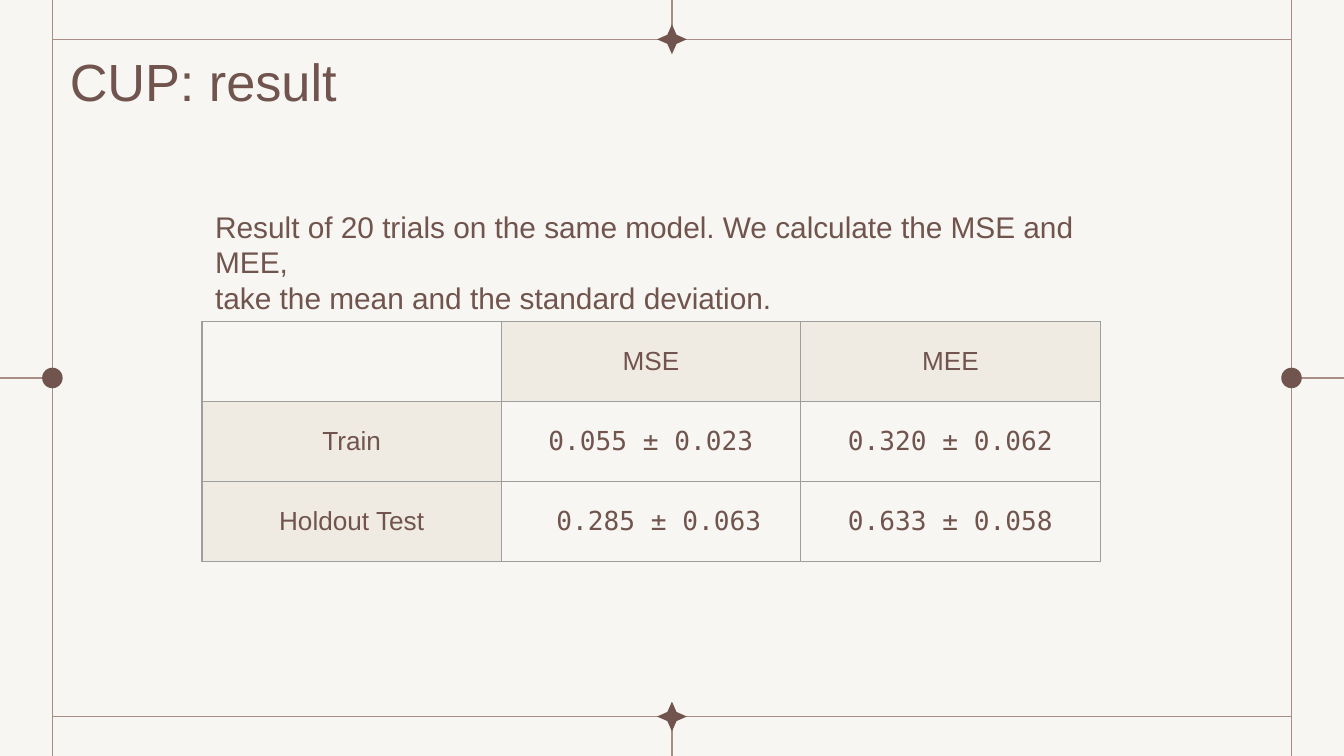
from lxml import etree
from pptx import Presentation
from pptx.dml.color import RGBColor
from pptx.enum.shapes import MSO_CONNECTOR, MSO_SHAPE
from pptx.enum.text import MSO_ANCHOR, PP_ALIGN
from pptx.oxml.ns import qn
from pptx.util import Pt

STRAIGHT = MSO_CONNECTOR.STRAIGHT
STAR, DOT = MSO_SHAPE.STAR_4_POINT, MSO_SHAPE.OVAL
MIDDLE, TOP = MSO_ANCHOR.MIDDLE, MSO_ANCHOR.TOP
LEFT, CENTER = PP_ALIGN.LEFT, PP_ALIGN.CENTER

SANS, MONO = "Arial", "DejaVu Sans Mono"
BROWN, ROSE, GREY = "70544D", "A78D84", "9E9E9E"
PAPER, SAND = "F8F6F2", "EFEAE2"

WIDTH, HEIGHT = 720, 405
MID_X, MID_Y = WIDTH / 2, HEIGHT / 2
FRAME_X, FRAME_Y = 28.1, 21.1
FRAME_RIGHT, FRAME_BOTTOM = WIDTH - FRAME_X, HEIGHT - FRAME_Y

RESULTS = [
    ["", "MSE", "MEE"],
    ["Train", "0.055 ± 0.023", "0.320 ± 0.062"],
    ["Holdout Test", " 0.285 ± 0.063", "0.633 ± 0.058"],
]


def rgb(color):
    return RGBColor.from_string(color)


def write(tf, text, size=14, font=SANS, color=BROWN, align=LEFT):
    """Put each line of text in its own paragraph."""
    for i, line in enumerate(text.split("\n")):
        p = tf.paragraphs[0] if i == 0 else tf.add_paragraph()
        p.alignment = align
        r = p.add_run()
        r.text = line
        r.font.size = Pt(size)
        r.font.name = font
        r.font.color.rgb = rgb(color)


def add_text(s, text, x, y, w, h, inset_y=3.6, anchor=TOP, **fmt):
    tf = s.shapes.add_textbox(Pt(x), Pt(y), Pt(w), Pt(h)).text_frame
    tf.word_wrap = True
    tf.margin_top = tf.margin_bottom = Pt(inset_y)
    tf.vertical_anchor = anchor
    write(tf, text, **fmt)


def add_line(s, x1, y1, x2, y2):
    line = s.shapes.add_connector(STRAIGHT, Pt(x1), Pt(y1), Pt(x2), Pt(y2))
    line.line.color.rgb = rgb(ROSE)
    line.line.width = Pt(0.75)
    etree.SubElement(line._element.spPr, qn("a:effectLst"))


def add_mark(s, kind, x, y, size):
    """Add an ornament centred on a point."""
    sp = s.shapes.add_shape(kind, Pt(x - size / 2), Pt(y - size / 2),
                            Pt(size), Pt(size))
    sp.shadow.inherit = False
    sp.fill.solid()
    sp.fill.fore_color.rgb = rgb(BROWN)
    sp.line.fill.background()
    return sp


def add_frame(s):
    for x, edge in ((FRAME_X, 0), (FRAME_RIGHT, WIDTH)):
        add_line(s, x, 0, x, HEIGHT)
        add_line(s, x, MID_Y, edge, MID_Y)
        add_mark(s, DOT, x, MID_Y, 11)
    for y, edge in ((FRAME_Y, 0), (FRAME_BOTTOM, HEIGHT)):
        add_line(s, FRAME_X, y, FRAME_RIGHT, y)
        add_line(s, MID_X, y, MID_X, edge)
        add_mark(s, STAR, MID_X, y, 16).adjustments[0] = 0.216


def set_borders(cell, color, width):
    tc_pr = cell._tc.get_or_add_tcPr()
    for side in ("a:lnL", "a:lnR", "a:lnT", "a:lnB"):
        ln = etree.SubElement(tc_pr, qn(side), w=str(Pt(width)))
        fill = etree.SubElement(ln, qn("a:solidFill"))
        etree.SubElement(fill, qn("a:srgbClr"), val=color)


def add_results(s, rows, x, y, col_w, row_h):
    n_rows, n_cols = len(rows), len(rows[0])
    table = s.shapes.add_table(n_rows, n_cols, Pt(x), Pt(y),
                               Pt(col_w * n_cols), Pt(row_h * n_rows)).table
    table.first_row = table.horz_banding = False
    for col in table.columns:
        col.width = Pt(col_w)
    for i, row in enumerate(rows):
        table.rows[i].height = Pt(row_h)
        for j, text in enumerate(row):
            cell = table.cell(i, j)
            cell.vertical_anchor = MIDDLE
            set_borders(cell, GREY, 0.75)
            is_value = i > 0 and j > 0
            if text and not is_value:
                cell.fill.solid()
                cell.fill.fore_color.rgb = rgb(SAND)
            else:
                cell.fill.background()
            if text:
                write(cell.text_frame, text, align=CENTER,
                      font=MONO if is_value else SANS)


def main():
    prs = Presentation()
    prs.slide_width, prs.slide_height = Pt(WIDTH), Pt(HEIGHT)
    s = prs.slides.add_slide(prs.slide_layouts[6])
    s.background.fill.solid()
    s.background.fill.fore_color.rgb = rgb(PAPER)

    add_frame(s)
    add_text(s, "CUP: result", 30.3, 23.3, 464, 40, inset_y=7.2,
             anchor=MIDDLE, size=28)
    add_results(s, RESULTS, 108.2, 172.2, 160.4, 42.85)
    add_text(s, "Result of 20 trials on the same model. We calculate the MSE "
             "and MEE,\ntake the mean and the standard deviation.",
             108.2, 108, 500, 46, size=16)
    prs.save("out.pptx")


if __name__ == "__main__":
    main()
